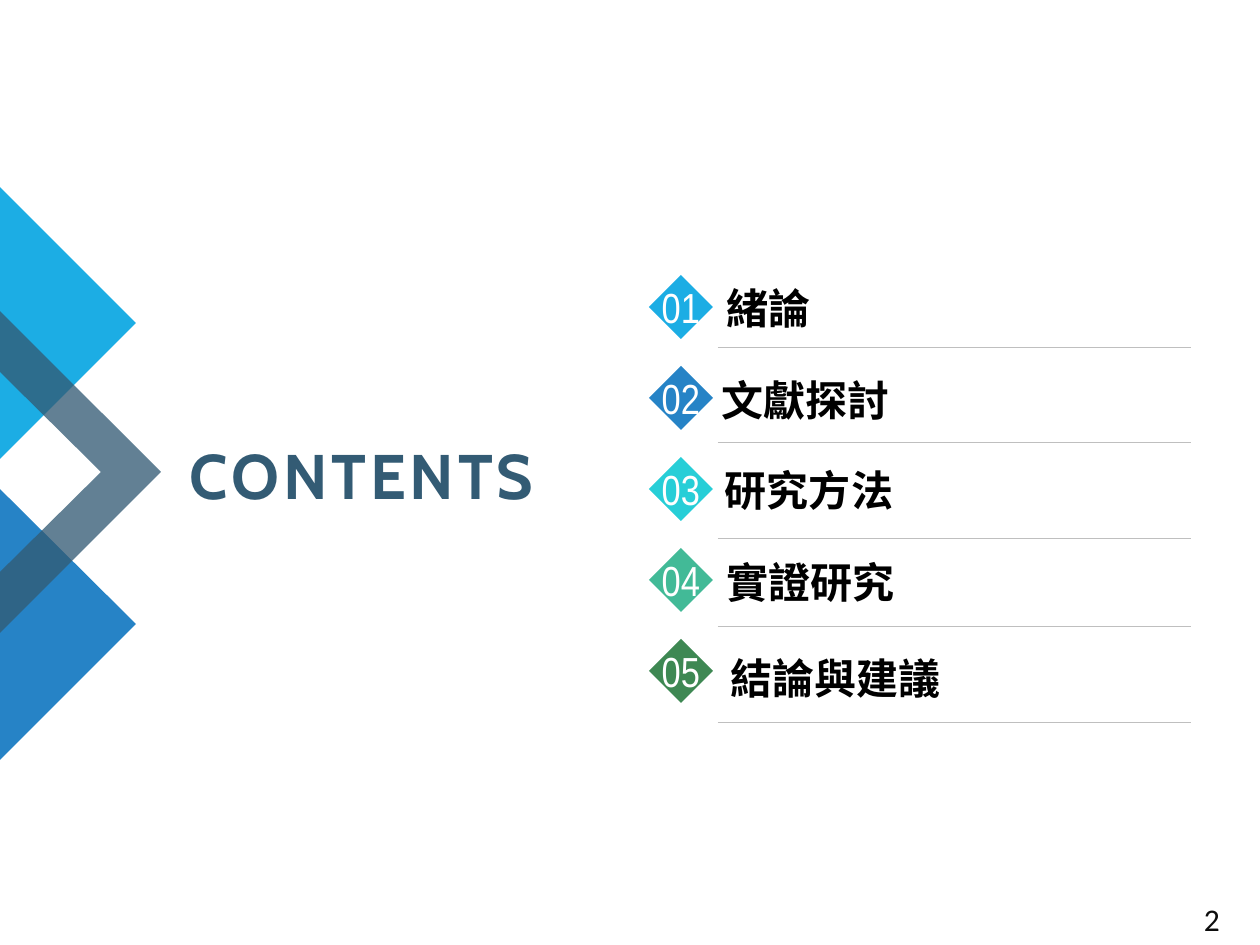
from dataclasses import dataclass

from lxml.etree import SubElement
from pptx import Presentation
from pptx.dml.color import RGBColor
from pptx.enum.shapes import MSO_CONNECTOR, MSO_SHAPE
from pptx.enum.text import MSO_ANCHOR, MSO_AUTO_SIZE, PP_ALIGN
from pptx.oxml.ns import qn
from pptx.util import Emu, Pt

TITLE = "CONTENTS"
PAGE_NUMBER = "2"
# text, diamond colour, label box (left, top, width, height), label margin, rule height
CHAPTERS = [
    ("緒論", "1CADE4", (718, 306, 410, 32), 9, 347),
    ("文獻探討", "2683C6", (713, 398, 410, 32), 9, 442),
    ("研究方法", "27CED7", (716, 488, 410, 32), 9, 538),
    ("實證研究", "42BA97", (718, 580, 410, 32), 9, 626),
    ("結論與建議", "3E8853", (718, 645, 237, 63), 13, 722),
]
# colour, opacity in percent, outline
ARROWS = [
    ("2683C6", 100, [(0, 489), (136, 624), (0, 760)]),
    ("1CADE4", 100, [(0, 187), (136, 323), (0, 459)]),
    ("335B74", 77, [(0, 311), (161, 472), (0, 633), (0, 572), (101, 472), (0, 372)]),
]
DIAMOND_LEFT, DIAMOND_TOP, DIAMOND_SIZE, DIAMOND_STEP = 649, 275, 64, 91
RULE_LEFT, RULE_RIGHT = 718, 1191
TITLE_BOX = (160, 426, 387, 96)
NUMBER_BOX = (1191, 903, 101, 32)


@dataclass(frozen=True)
class Theme:
    title: tuple = ("Cabin", 36, True, "335B74")
    label: tuple = ("Cabin", 24, True, "000000")
    index: tuple = ("Arial Narrow", 24, False, "FFFFFF")
    number: tuple = ("Calibri", 18, False, "0D0D0D")
    rule: str = "BFBFBF"
    rule_width: float = 0.25


THEME = Theme()


def px(*lengths):
    return [Emu(round(length * 914400 / 126)) for length in lengths]


def write(shape, text, style, align, anchor, margins=(13, 6), wrap=True):
    frame = shape.text_frame
    side, edge = px(*margins)
    settings = {
        "auto_size": MSO_AUTO_SIZE.NONE, "word_wrap": wrap, "vertical_anchor": anchor,
        "margin_left": side, "margin_right": side,
        "margin_top": edge, "margin_bottom": edge,
    }
    for name, value in settings.items():
        setattr(frame, name, value)
    para = frame.paragraphs[0]
    para.alignment = align
    span = para.add_run()
    span.text = text
    face, size, bold, color = style
    for name, value in {"name": face, "size": Pt(size), "bold": bold}.items():
        setattr(span.font, name, value)
    span.font.color.rgb = RGBColor.from_string(color)
    return span


def paint(shape, color, opacity=100):
    shape.shadow.inherit = False
    shape.fill.solid()
    shape.fill.fore_color.rgb = RGBColor.from_string(color)
    shape.line.fill.background()
    if opacity < 100:
        tint = shape.fill._xPr.find(qn("a:solidFill"))[0]
        SubElement(tint, qn("a:alpha")).set("val", str(opacity * 1000))


def add_title(page):
    title = page.shapes.title
    title.left, title.top, title.width, title.height = px(*TITLE_BOX)
    span = write(title, TITLE, THEME.title, PP_ALIGN.RIGHT, MSO_ANCHOR.MIDDLE)
    span.font._element.set("spc", "220")


def add_arrow(page, color, opacity, outline):
    builder = page.shapes.build_freeform(*px(*outline[0]))
    builder.add_line_segments([px(*point) for point in outline[1:]], close=True)
    paint(builder.convert_to_shape(), color, opacity)


def add_rule(page, height):
    rule = page.shapes.add_connector(
        MSO_CONNECTOR.STRAIGHT, *px(RULE_LEFT, height, RULE_RIGHT, height))
    rule.line.color.rgb = RGBColor.from_string(THEME.rule)
    rule.line.width = Pt(THEME.rule_width)
    SubElement(rule._element.spPr, qn("a:effectLst"))


def add_chapter(page, position, text, color, label_box, margin, rule_height):
    top = DIAMOND_TOP + position * DIAMOND_STEP
    diamond = page.shapes.add_shape(
        MSO_SHAPE.DIAMOND, *px(DIAMOND_LEFT, top, DIAMOND_SIZE, DIAMOND_SIZE))
    paint(diamond, color)
    write(diamond, f"{position + 1:02}", THEME.index, PP_ALIGN.CENTER,
          MSO_ANCHOR.MIDDLE, (9, 5), wrap=False)
    label = page.shapes.add_textbox(*px(*label_box))
    write(label, text, THEME.label, PP_ALIGN.LEFT, MSO_ANCHOR.BOTTOM,
          (margin, 5), wrap=False)
    add_rule(page, rule_height)


def main():
    deck = Presentation()
    deck.slide_width, deck.slide_height = px(1260, 945)
    page = deck.slides.add_slide(deck.slide_layouts[5])
    for arrow in ARROWS:
        add_arrow(page, *arrow)
    add_title(page)
    for position, chapter in enumerate(CHAPTERS):
        add_chapter(page, position, *chapter)
    number = page.shapes.add_textbox(*px(*NUMBER_BOX))
    write(number, PAGE_NUMBER, THEME.number, PP_ALIGN.LEFT, MSO_ANCHOR.MIDDLE)
    deck.save("out.pptx")


if __name__ == "__main__":
    main()
